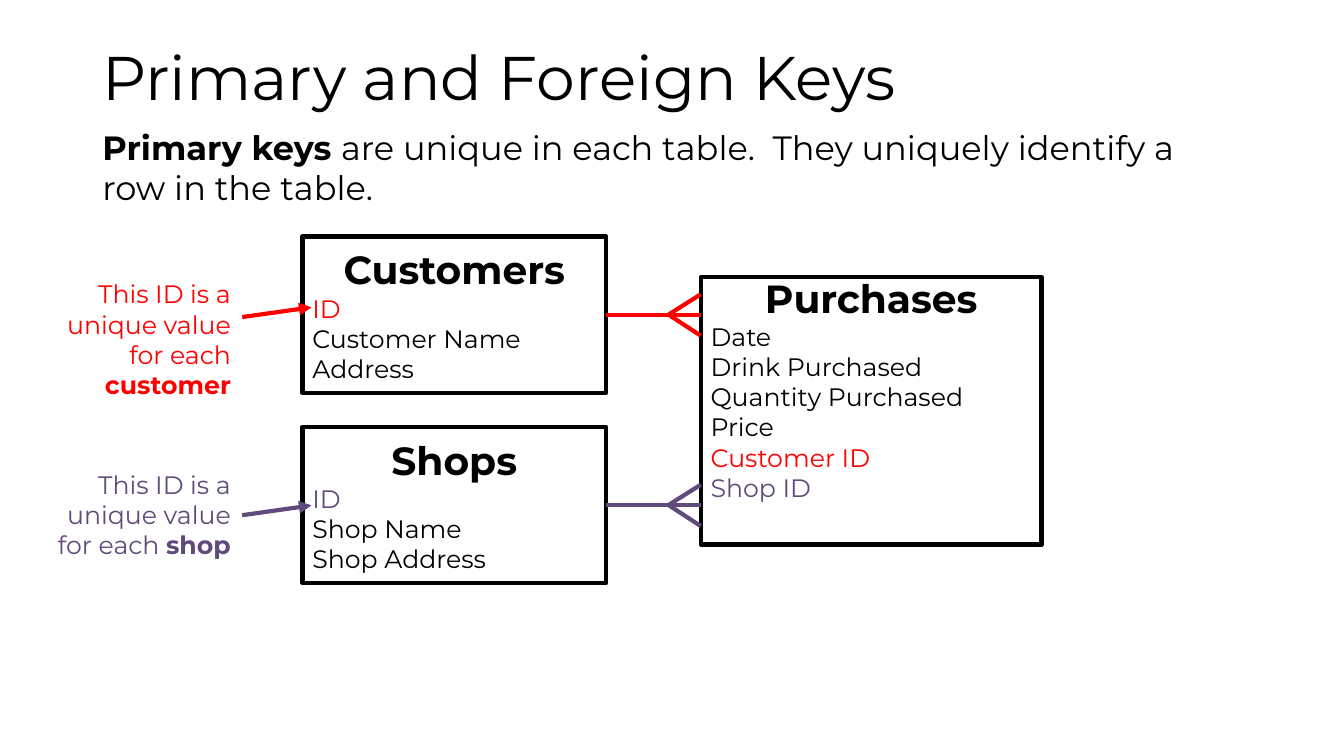
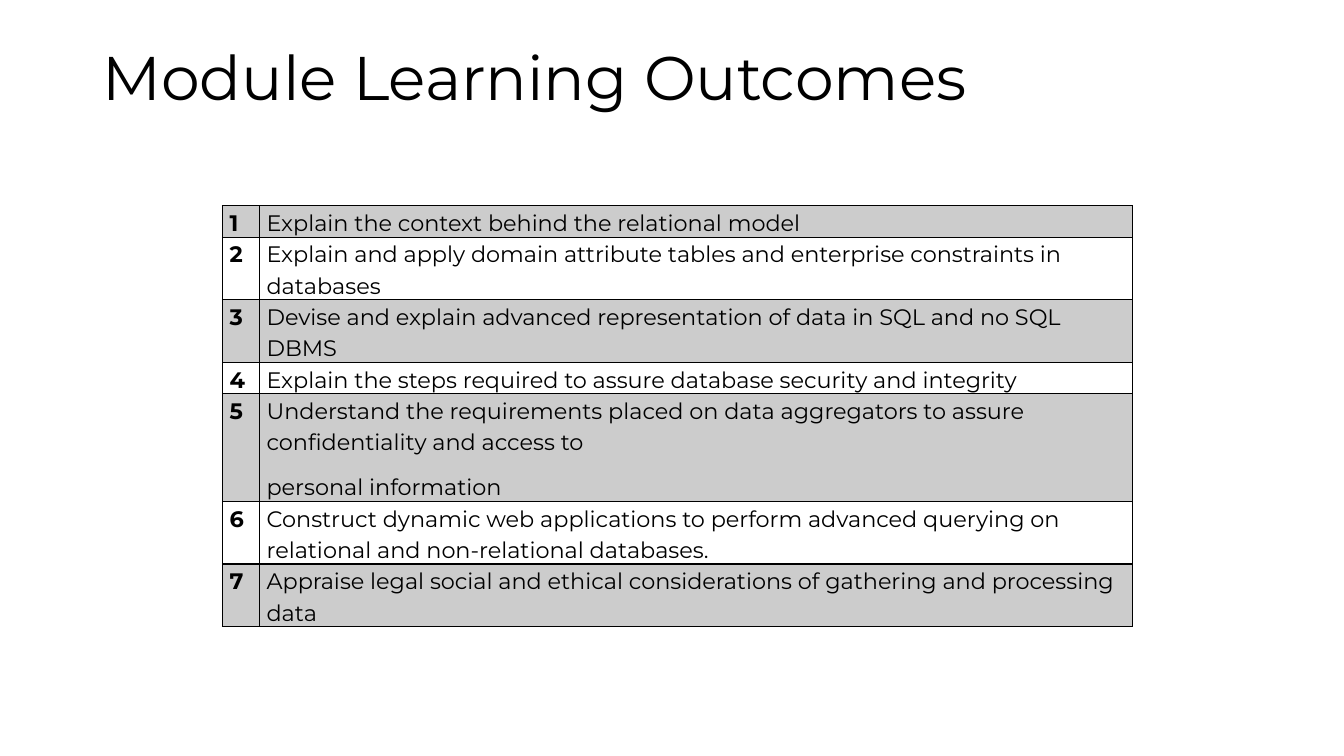
from dataclasses import dataclass

from lxml import etree
from pptx import Presentation
from pptx.dml.color import RGBColor
from pptx.enum import shapes, text
from pptx.oxml import ns
from pptx.util import Pt


@dataclass(frozen=True)
class Theme:
    font: str = "Montserrat"
    ink: str = "000000"
    paper: str = "FFFFFF"
    customer: str = "FF0000"
    shop: str = "604A7B"
    title: int = 44
    heading: int = 28
    lead: int = 24
    body: int = 18
    table: int = 16
    stroke: int = 3
    shade: int = 20


THEME = Theme()
LEFT, RIGHT = text.PP_ALIGN.LEFT, text.PP_ALIGN.RIGHT
CENTER = text.PP_ALIGN.CENTER


# Shared helpers
def rgb(color):
    return RGBColor.from_string(color)


def add_run(paragraph, words, size, color=THEME.ink, bold=False):
    run = paragraph.add_run()
    run.text = words
    run.font.name = THEME.font
    run.font.size = Pt(size)
    run.font.bold = bold
    run.font.color.rgb = rgb(color)


def next_paragraph(frame, index, align=LEFT):
    paragraph = frame.add_paragraph() if index else frame.paragraphs[0]
    paragraph.alignment = align
    return paragraph


def add_title(slide, words):
    title = slide.shapes.title
    title.left, title.top, title.width, title.height = Pt(66), Pt(29), Pt(828), Pt(57)
    frame = title.text_frame
    frame.auto_size = text.MSO_AUTO_SIZE.NONE
    frame.vertical_anchor = text.MSO_ANCHOR.MIDDLE
    paragraph = next_paragraph(frame, 0)
    paragraph.line_spacing = 0.9
    add_run(paragraph, words, THEME.title)


def add_text(slide, box, runs, size, color=THEME.ink, align=LEFT):
    frame = slide.shapes.add_textbox(*map(Pt, box)).text_frame
    frame.word_wrap = True
    paragraph = next_paragraph(frame, 0, align)
    for words, bold in runs:
        add_run(paragraph, words, size, color, bold)


def add_line(slide, start, end, color, arrow=False):
    line = slide.shapes.add_connector(
        shapes.MSO_CONNECTOR.STRAIGHT, *map(Pt, (*start, *end)))
    line.line.color.rgb = rgb(color)
    line.line.width = Pt(THEME.stroke)
    if arrow:
        etree.SubElement(line.line._get_or_add_ln(), ns.qn("a:tailEnd"), type="triangle")
    etree.SubElement(line._element.spPr, ns.qn("a:effectLst"))


# Entity diagram
def add_entity(slide, box, name, fields, space_below=3.6):
    entity = slide.shapes.add_shape(shapes.MSO_SHAPE.RECTANGLE, *map(Pt, box))
    entity.shadow.inherit = False
    entity.fill.background()
    entity.line.color.rgb = rgb(THEME.ink)
    entity.line.width = Pt(THEME.stroke)
    frame = entity.text_frame
    frame.word_wrap = True
    frame.vertical_anchor = text.MSO_ANCHOR.MIDDLE
    frame.margin_bottom = Pt(space_below)
    add_run(next_paragraph(frame, 0, CENTER), name, THEME.heading, bold=True)
    for index, (field, color) in enumerate(fields, 1):
        add_run(next_paragraph(frame, index), field, THEME.body, color)


def add_crows_foot(slide, left, right, middle, color):
    fork = right - 23
    add_line(slide, (left, middle), (right, middle), color)
    for spread in (-14.5, 15):
        add_line(slide, (fork, middle), (right, middle + spread), color)


def add_keyed_entity(slide, box, name, fields, noun, color, tip_drop, link_right):
    left, top, width, height = box
    add_entity(slide, box, name,
               [("ID", color), *((field, THEME.ink) for field in fields)])
    add_crows_foot(slide, left + width, link_right, top + height / 2, color)
    add_text(slide, (left - 196.5, top + 26.5, 152.5, 73),
             [("This ID is a unique value for each ", False), (noun, True)],
             THEME.body, color, RIGHT)
    add_line(slide, (left - 43, top + tip_drop + 7), (left + 6.5, top + tip_drop),
             color, arrow=True)


def build_keys_slide(slide):
    add_title(slide, "Primary and Foreign Keys")
    add_text(slide, (66, 87, 815, 66),
             [("Primary keys ", True),
              ("are unique in each table.\u00a0 They uniquely identify a row in the table.",
               False)], THEME.lead)

    purchases_left = 500.5
    plain = ("Date", "Drink Purchased", "Quantity Purchased", "Price")
    add_entity(slide, (purchases_left, 198, 243.5, 191), "Purchases",
               [*((field, THEME.ink) for field in plain),
                ("Customer ID", THEME.customer), ("Shop ID", THEME.shop)],
               space_below=36)

    add_keyed_entity(slide, (216, 169, 217, 111.5), "Customers",
                     ("Customer Name", "Address"), "customer",
                     THEME.customer, 50.5, purchases_left)
    add_keyed_entity(slide, (216, 305, 217, 111.5), "Shops",
                     ("Shop Name", "Shop Address"), "shop",
                     THEME.shop, 56, purchases_left)


# Outcomes table
def style_cell(cell, shaded):
    cell.margin_left = cell.margin_right = Pt(5)
    cell.margin_top = cell.margin_bottom = 0
    properties = cell._tc.get_or_add_tcPr()
    for side in ("lnL", "lnR", "lnT", "lnB"):
        border = etree.SubElement(properties, ns.qn("a:" + side), w=str(Pt(1)))
        solid = etree.SubElement(border, ns.qn("a:solidFill"))
        etree.SubElement(solid, ns.qn("a:srgbClr"), val=THEME.ink)
    cell.fill.solid()
    cell.fill.fore_color.rgb = rgb(THEME.ink if shaded else THEME.paper)
    if shaded:
        color = properties.find(ns.qn("a:solidFill")).find(ns.qn("a:srgbClr"))
        etree.SubElement(color, ns.qn("a:alpha"), val=str(THEME.shade * 1000))


def fill_cell(cell, paragraphs, bold):
    for index, words in enumerate(paragraphs):
        paragraph = next_paragraph(cell.text_frame, index)
        paragraph.line_spacing = 1.15
        paragraph.space_after = Pt(10)
        add_run(paragraph, words, THEME.table, bold=bold)


def add_outcomes_table(slide, box, outcomes):
    left, top, width = box
    number_width, line_height = 26.5, 22
    heights = [line_height * lines + 10 * (len(paragraphs) - 1)
               for lines, paragraphs in outcomes]
    table = slide.shapes.add_table(
        len(outcomes), 2, *map(Pt, (left, top, width, sum(heights)))).table
    table.first_row = table.horz_banding = False
    table.columns[0].width = Pt(number_width)
    table.columns[1].width = Pt(width - number_width)
    for index, (_, paragraphs) in enumerate(outcomes):
        table.rows[index].height = Pt(heights[index])
        for column, content in enumerate(([str(index + 1)], paragraphs)):
            cell = table.cell(index, column)
            style_cell(cell, shaded=index % 2 == 0)
            fill_cell(cell, content, bold=column == 0)


def build_outcomes_slide(slide):
    add_title(slide, "Module Learning Outcomes")
    # Each outcome: number of text lines, then its paragraphs
    add_outcomes_table(slide, (159, 147, 650), [
        (1, ["Explain the context behind the relational model"]),
        (2, ["Explain and apply domain attribute tables and enterprise "
             "constraints in databases"]),
        (2, ["Devise and explain advanced representation of data in SQL and "
             "no SQL DBMS"]),
        (1, ["Explain the steps required to assure database security and integrity"]),
        (3, ["Understand the requirements placed on data aggregators to assure "
             "confidentiality and access to", "personal information"]),
        (2, ["Construct dynamic web applications to perform advanced querying on "
             "relational and non-relational databases."]),
        (2, ["Appraise legal social and ethical considerations of gathering and "
             "processing data"]),
    ])


# Presentation
presentation = Presentation()
presentation.slide_width, presentation.slide_height = Pt(960), Pt(540)
title_only = presentation.slide_layouts[5]
for build in (build_keys_slide, build_outcomes_slide):
    build(presentation.slides.add_slide(title_only))
presentation.save("out.pptx")
